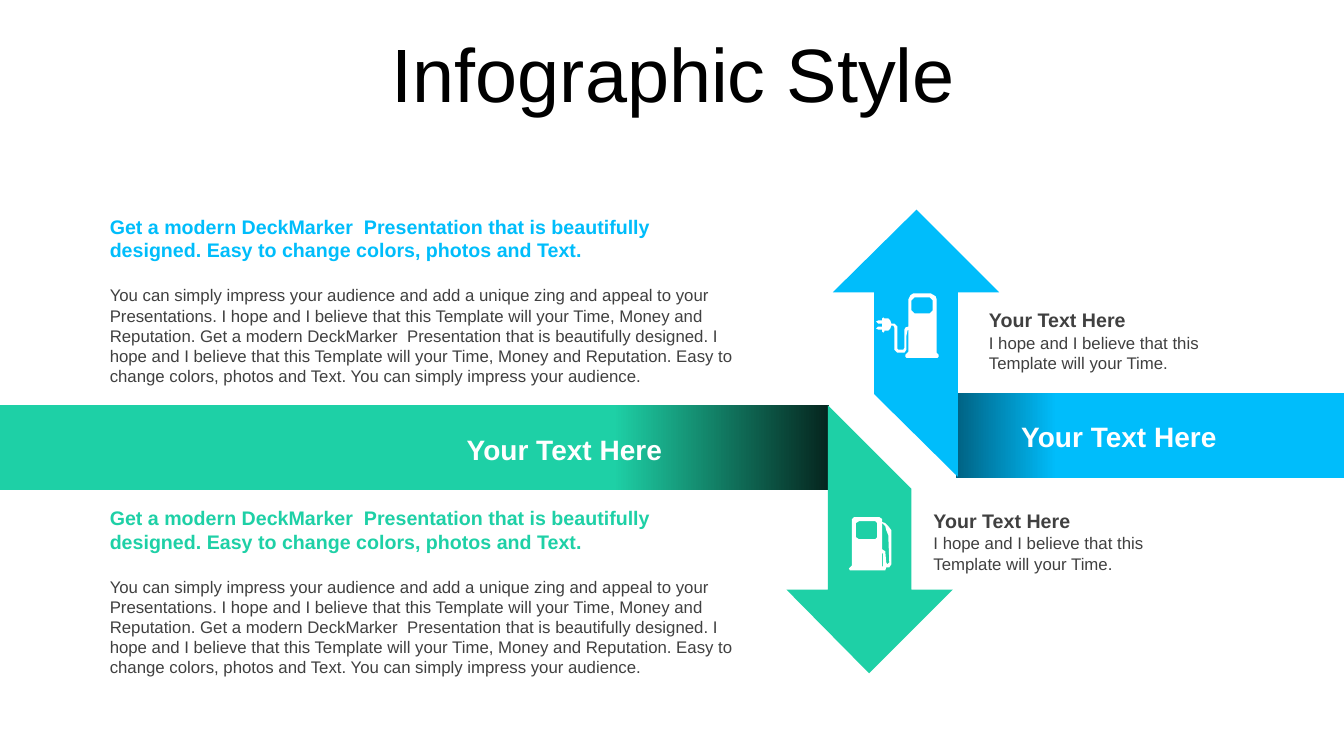
from copy import deepcopy

from pptx import Presentation
from pptx.dml.color import RGBColor
from pptx.enum.shapes import MSO_SHAPE as Shape
from pptx.enum.text import MSO_ANCHOR as Anchor, PP_ALIGN as Align
from pptx.oxml.ns import qn
from pptx.util import Inches, Pt

COLORS = {
    "blue": "00BDFB", "blue_shade": "006283",
    "green": "1ED0A6", "green_shade": "05251E",
    "text": "404040", "white": "FFFFFF", "black": "000000",
}
LABEL = "Your Text Here"
NOTE = "I hope and I believe that this Template will your Time."
HEADING = ("Get a modern DeckMarker  Presentation that is beautifully designed. "
           "Easy to change colors, photos and Text.")
BODY = ("You can simply impress your audience and add a unique zing and appeal to your "
        "Presentations. I hope and I believe that this Template will your Time, Money and "
        "Reputation. Get a modern DeckMarker  Presentation that is beautifully designed. "
        "I hope and I believe that this Template will your Time, Money and Reputation. "
        "Easy to change colors, photos and Text. You can simply impress your audience.")

UP_ARROW = [(9.09, 2.08), (9.91, 2.9), (9.5, 2.9), (9.5, 4.73),
            (8.67, 3.91), (8.67, 2.9), (8.26, 2.9)]
DOWN_ARROW = [(8.62, 6.68), (7.8, 5.85), (8.21, 5.85), (8.21, 4.02),
              (9.04, 4.85), (9.04, 5.85), (9.45, 5.85)]
CHARGER = [
    [(9.01, 2.97), (9.03, 2.93), (9.06, 2.91), (9.23, 2.91), (9.28, 2.94), (9.29, 2.97),
     (9.29, 3.5), (9.31, 3.52), (9.31, 3.54), (9.3, 3.55), (8.99, 3.55), (8.98, 3.54),
     (8.98, 3.52), (9, 3.5), (9.01, 3.49), (9.01, 3.27), (9, 3.28), (8.99, 3.33),
     (8.99, 3.47), (8.97, 3.5), (8.9, 3.5), (8.87, 3.47), (8.87, 3.25), (8.86, 3.23),
     (8.84, 3.23), (8.83, 3.26), (8.81, 3.28), (8.77, 3.28), (8.77, 3.29), (8.76, 3.3),
     (8.75, 3.29), (8.75, 3.27), (8.71, 3.27), (8.69, 3.26), (8.71, 3.24), (8.75, 3.24),
     (8.75, 3.21), (8.71, 3.21), (8.69, 3.19), (8.71, 3.18), (8.75, 3.18), (8.75, 3.16),
     (8.76, 3.15), (8.77, 3.16), (8.81, 3.16), (8.83, 3.18), (8.84, 3.21), (8.87, 3.21),
     (8.9, 3.24), (8.9, 3.46), (8.91, 3.47), (8.96, 3.47), (8.97, 3.45), (8.97, 3.27),
     (8.98, 3.25), (9.01, 3.24)],
    [(9.07, 2.95), (9.22, 2.95), (9.25, 2.98), (9.25, 3.08), (9.22, 3.11),
     (9.07, 3.11), (9.04, 3.08), (9.04, 2.98)],
]
FUEL_PUMP = [
    [(8.47, 5.13), (8.72, 5.13), (8.75, 5.15), (8.75, 5.18), (8.78, 5.19), (8.81, 5.22),
     (8.84, 5.26), (8.84, 5.6), (8.82, 5.63), (8.79, 5.63), (8.78, 5.66), (8.43, 5.66),
     (8.42, 5.64), (8.45, 5.61), (8.45, 5.15)],
    [(8.52, 5.17), (8.68, 5.17), (8.7, 5.19), (8.7, 5.33), (8.68, 5.35),
     (8.52, 5.35), (8.49, 5.33), (8.49, 5.19)],
    [(8.75, 5.19), (8.78, 5.22), (8.79, 5.26), (8.81, 5.31), (8.82, 5.58), (8.8, 5.6),
     (8.79, 5.58), (8.78, 5.47), (8.75, 5.45)],
    [(8.75, 5.49), (8.76, 5.49), (8.76, 5.62), (8.75, 5.62)],
]


def rgb(name):
    """Return the named colour."""
    return RGBColor.from_string(COLORS[name])


def style_para(para, size, color, bold=False):
    """Set the font of a paragraph."""
    font = para.font
    font.name, font.size, font.bold = "Arial", Pt(size), bold
    font.color.rgb = rgb(color)


def add_title(page, text):
    """Fill and place the slide title."""
    title = page.shapes.title
    title.left, title.top = Inches(0.35), Inches(0.31)
    title.width, title.height = Inches(12.66), Inches(0.92)
    frame = title.text_frame
    frame.text = text
    frame.vertical_anchor = Anchor.MIDDLE
    para = frame.paragraphs[0]
    para.alignment, para.line_spacing = Align.CENTER, 0.9
    para.space_before = Pt(10)
    style_para(para, 54, "black")


def add_text(page, text, left, top, width, height, size, color, bold=False):
    """Add a wrapped text box with one paragraph."""
    box = page.shapes.add_textbox(Inches(left), Inches(top), Inches(width), Inches(height))
    frame = box.text_frame
    frame.word_wrap = True
    frame.text = text
    style_para(frame.paragraphs[0], size, color, bold)


def add_band(page, left, top, width, color, angle):
    """Add a horizontal band that darkens at the arrow end."""
    band = page.shapes.add_shape(Shape.RECTANGLE, Inches(left), Inches(top),
                                 Inches(width), Inches(0.84))
    band.shadow.inherit = False
    band.line.fill.background()
    band.fill.gradient()
    band.fill.gradient_angle = angle
    stop_list = band._element.spPr.find(qn("a:gradFill")).find(qn("a:gsLst"))
    stop_list.append(deepcopy(stop_list[-1]))
    names = (color + "_shade", color, color)
    for stop, position, name in zip(band.fill.gradient_stops, (0, 0.26, 1), names):
        stop.position = position
        stop.color.rgb = rgb(name)


def add_outline(page, contours, color):
    """Add a filled freeform from closed contours; inner ones are holes."""
    scaled = [[(Inches(x), Inches(y)) for x, y in contour] for contour in contours]
    builder = page.shapes.build_freeform(*scaled[0][0])
    builder.add_line_segments(scaled[0][1:], close=True)
    for contour in scaled[1:]:
        builder.move_to(*contour[0])
        builder.add_line_segments(contour[1:], close=True)
    outline = builder.convert_to_shape()
    outline.shadow.inherit = False
    outline.fill.solid()
    outline.fill.fore_color.rgb = rgb(color)
    outline.line.fill.background()


def add_article(page, top, color):
    """Add a coloured heading with its body text."""
    add_text(page, HEADING, 0.99, top, 6.49, 0.57, 14, color, True)
    add_text(page, BODY, 0.99, top + 0.7, 6.49, 1.11, 12, "text")


def add_caption(page, left, top):
    """Add a short label with a note beside an arrow."""
    add_text(page, LABEL, left, top, 2.52, 0.34, 14, "text", True)
    add_text(page, NOTE, left, top + 0.24, 2.52, 0.5, 12, "text")


def main():
    """Build the slide and save it."""
    deck = Presentation()
    deck.slide_width, deck.slide_height = Inches(13.33), Inches(7.5)
    page = deck.slides.add_slide(deck.slide_layouts[5])
    add_title(page, "Infographic Style")
    add_band(page, 0, 4.02, 8.22, "green", 180)
    add_outline(page, [DOWN_ARROW], "green")
    add_band(page, 9.48, 3.9, 3.85, "blue", 0)
    add_outline(page, [UP_ARROW], "blue")
    for left, top in ((4.53, 4.24), (10.03, 4.11)):
        add_text(page, LABEL, left, top, 3.39, 0.44, 20, "white", True)
    add_outline(page, FUEL_PUMP, "white")
    add_outline(page, CHARGER, "white")
    add_article(page, 2.08, "blue")
    add_article(page, 4.97, "green")
    add_caption(page, 9.71, 3.01)
    add_caption(page, 9.16, 5)
    deck.save("out.pptx")


if __name__ == "__main__":
    main()
